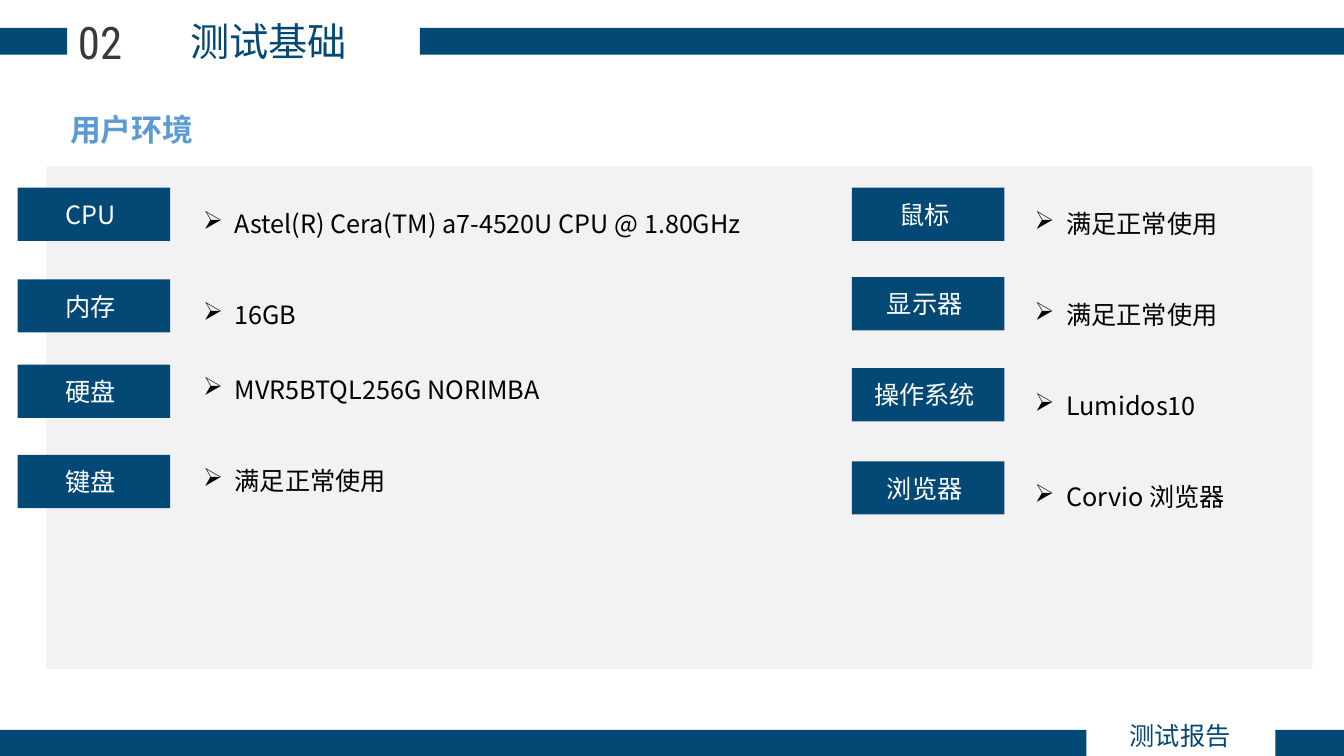
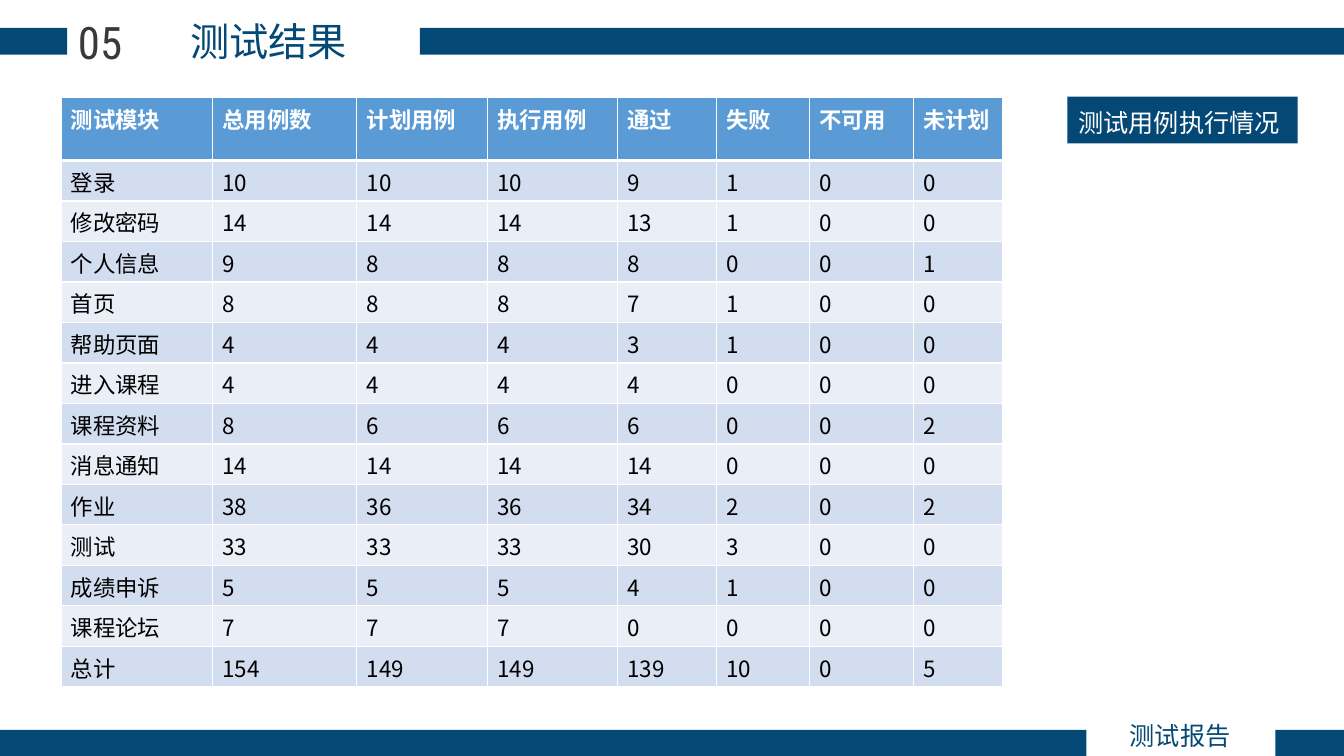
"""Build two test report slides: the user environment and the case results."""
from lxml.etree import SubElement
from pptx import Presentation
from pptx.dml.color import RGBColor
from pptx.enum.shapes import MSO_SHAPE as Shape
from pptx.enum.text import MSO_ANCHOR as Anchor, MSO_AUTO_SIZE as Auto, PP_ALIGN as Align
from pptx.oxml.ns import qn
from pptx.util import Pt

COLOR = {"navy": "044875", "blue": "5B9BD5", "panel": "F2F2F2", "dark": "3B3838",
         "odd": "D2DEEF", "even": "EAEFF7", "white": "FFFFFF", "black": "000000"}
SANS, NARROW = "Noto Sans CJK SC", "Roboto Condensed"

BANDS = [(0, 20, 48, 19), (300, 20, 660, 19), (0, 521.3, 776, 18.7), (911, 521.3, 49, 18.7)]
FOOTER = "测试报告"

ENV = [
    {"chip": 12.5, "text": 138, "width": 450, "rows": [
        ("CPU", 134, "Astel(R) Cera(TM) a7-4520U CPU @ 1.80GHz", 0),
        ("内存", 199.5, "16GB", 39),
        ("硬盘", 260.5, "MVR5BTQL256G NORIMBA", 27.5),
        ("键盘", 325, "满足正常使用", 39)]},
    {"chip": 608.5, "text": 732, "width": 220, "rows": [
        ("鼠标", 134, "满足正常使用", 0),
        ("显示器", 198, "满足正常使用", 39),
        ("操作系统", 263, "Lumidos10", 39),
        ("浏览器", 329.5, "Corvio 浏览器", 39)]},
]

HEAD = ["测试模块", "总用例数", "计划用例", "执行用例", "通过", "失败", "不可用", "未计划"]
CASES = [
    ("登录", 10, 10, 10, 9, 1, 0, 0),
    ("修改密码", 14, 14, 14, 13, 1, 0, 0),
    ("个人信息", 9, 8, 8, 8, 0, 0, 1),
    ("首页", 8, 8, 8, 7, 1, 0, 0),
    ("帮助页面", 4, 4, 4, 3, 1, 0, 0),
    ("进入课程", 4, 4, 4, 4, 0, 0, 0),
    ("课程资料", 8, 6, 6, 6, 0, 0, 2),
    ("消息通知", 14, 14, 14, 14, 0, 0, 0),
    ("作业", 38, 36, 36, 34, 2, 0, 2),
    ("测试", 33, 33, 33, 30, 3, 0, 0),
    ("成绩申诉", 5, 5, 5, 4, 1, 0, 0),
    ("课程论坛", 7, 7, 7, 0, 0, 0, 0),
    ("总计", 154, 149, 149, 139, 10, 0, 5),
]
COLS = [108.2, 103.2, 93.2, 92.9, 70.7, 66.4, 74.3, 64]
HEAD_H, ROW_H = 45.2, 28.92


def rgb(name):
    return RGBColor.from_string(COLOR[name])


def style(para, size, color, bold=False, face=SANS, align=Align.LEFT):
    para.alignment = align
    font = para.font
    font.size, font.bold, font.name = Pt(size), bold, face
    font.color.rgb = rgb(color)
    props = para._p.get_or_add_pPr().get_or_add_defRPr()
    SubElement(props, qn("a:ea"), typeface=face)


def write(shape, text, size, color, **look):
    frame = shape.text_frame
    frame.word_wrap, frame.auto_size = True, Auto.NONE
    frame.vertical_anchor = Anchor.MIDDLE
    frame.text = text
    style(frame.paragraphs[0], size, color, **look)


def label(slide, box, text, size, color, **look):
    write(slide.shapes.add_textbox(*map(Pt, box)), text, size, color, **look)


def block(slide, box, color):
    rect = slide.shapes.add_shape(Shape.RECTANGLE, *map(Pt, box))
    rect.shadow.inherit = False
    rect.fill.solid()
    rect.fill.fore_color.rgb = rgb(color)
    rect.line.fill.background()
    return rect


def chip(slide, box, text, drop=0):
    rect = block(slide, box, "navy")
    write(rect, text, 18, "white", align=Align.CENTER)
    frame = rect.text_frame
    frame.margin_left, frame.margin_right = Pt(2), Pt(7)
    frame.margin_top, frame.margin_bottom = Pt(drop), 0


def page(deck, number, title):
    slide = deck.slides.add_slide(deck.slide_layouts[5])
    for band in BANDS:
        block(slide, band, "navy")
    head = slide.shapes.title
    head.left, head.top, head.width, head.height = map(Pt, (62.5, 8.5, 259, 41))
    write(head, title, 28, "navy", align=Align.CENTER)
    label(slide, (43, 6.5, 57, 46), number, 32, "dark", face=NARROW, align=Align.CENTER)
    label(slide, (738, 511, 210, 29), FOOTER, 18, "navy", align=Align.CENTER)
    return slide


def bullets(slide, box, items):
    frame = slide.shapes.add_textbox(*map(Pt, box)).text_frame
    frame.word_wrap = True
    for i, (text, gap) in enumerate(items):
        para = frame.add_paragraph() if i else frame.paragraphs[0]
        para.text = text
        props = para._p.get_or_add_pPr()
        props.set("marL", str(Pt(22.5)))
        props.set("indent", str(-Pt(22.5)))
        SubElement(props, qn("a:buChar"), char="➢")
        para.line_spacing, para.space_before = Pt(26), Pt(gap)
        style(para, 18, "black")


def border(cell, top, bottom):
    props = cell._tc.get_or_add_tcPr()
    for side, width in zip("LRTB", (1, 1, top, bottom)):
        line = SubElement(props, qn(f"a:ln{side}"), w=str(Pt(width)))
        fill = SubElement(line, qn("a:solidFill"))
        SubElement(fill, qn("a:srgbClr"), val=COLOR["white"])


def grid(slide, left, top):
    rows = [HEAD, *CASES]
    size = sum(COLS), HEAD_H + ROW_H * len(CASES)
    table = slide.shapes.add_table(len(rows), len(COLS), *map(Pt, (left, top, *size))).table
    for col, width in zip(table.columns, COLS):
        col.width = Pt(width)
    for r, row in enumerate(rows):
        table.rows[r].height = Pt(ROW_H if r else HEAD_H)
        shade = ("odd" if r % 2 else "even") if r else "blue"
        for c, value in enumerate(row):
            cell = table.cell(r, c)
            cell.margin_top, cell.margin_bottom = Pt(3.6), Pt(1.8)
            border(cell, 3 if r == 1 else 1, 1 if r else 3)
            cell.fill.solid()
            cell.fill.fore_color.rgb = rgb(shade)
            cell.text = str(value)
            style(cell.text_frame.paragraphs[0], 16, "black" if r else "white", bold=not r)


def main():
    deck = Presentation()
    deck.slide_width, deck.slide_height = Pt(960), Pt(540)

    slide = page(deck, "02", "测试基础")
    label(slide, (43, 75, 170, 34), "用户环境", 22, "blue", bold=True)
    block(slide, (33, 119, 904.5, 359), "panel")
    for part in ENV:
        for name, top, _, _ in part["rows"]:
            chip(slide, (part["chip"], top, 109, 38), name)
        items = [(text, gap) for _, _, text, gap in part["rows"]]
        bullets(slide, (part["text"], 141, part["width"], 240), items)

    slide = page(deck, "05", "测试结果")
    grid(slide, 43.5, 69.5)
    chip(slide, (762.5, 69, 164.5, 33.5), "测试用例执行情况", drop=4)

    deck.save("out.pptx")


if __name__ == "__main__":
    main()
